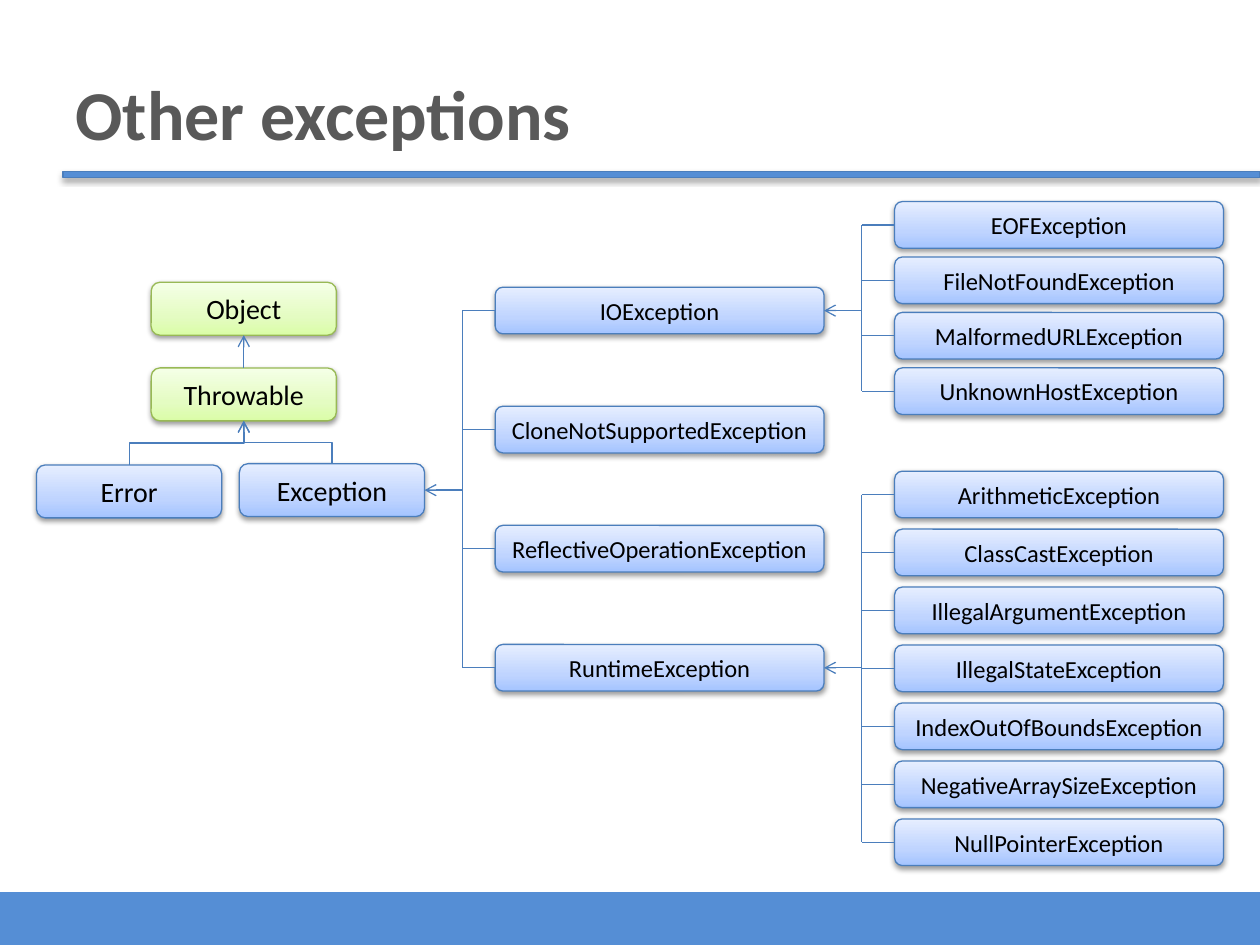
import copy
from dataclasses import dataclass

import pptx
import pptx.dml.color
import pptx.enum.shapes
import pptx.enum.text
import pptx.oxml
import pptx.oxml.ns
import pptx.util
from pptx.util import Inches

FONT = "Calibri"
BLUE, LINE_BLUE, LINE_GREEN = "558ED5", "4B7EBC", "98B955"
BLUE_STOPS = ("A4C4FF", "BFD4FF", "E6EEFF")
GREEN_STOPS = ("DAFDA7", "E4FCC2", "F5FFE7")
STOP_POSITIONS = (0, 0.35, 1)
TOP, LEFT, BOTTOM, RIGHT = range(4)
SHAPES = pptx.enum.shapes.MSO_SHAPE
CONNECTORS = pptx.enum.shapes.MSO_CONNECTOR
qn = pptx.oxml.ns.qn


@dataclass
class ClassBox:
    name: str
    left: float
    top: float
    width: float = 1.47
    height: float = 0.42
    size: int = 16
    stops: tuple = BLUE_STOPS
    line: str = LINE_BLUE


@dataclass
class Column:
    """Subclasses stacked at an equal step, joined to one parent by a trunk."""
    parent: str
    left: float
    top: float
    step: float
    trunk: float
    names: tuple


ROOT_BOXES = (
    ClassBox("Object", 1.2, 2.24, stops=GREEN_STOPS, line=LINE_GREEN),
    ClassBox("Throwable", 1.2, 2.92, stops=GREEN_STOPS, line=LINE_GREEN),
    ClassBox("Error", 0.29, 3.69),
    ClassBox("Exception", 1.9, 3.68),
)
COLUMNS = (
    Column("Exception", 3.93, 2.28, 0.945, 3.67, (
        "IOException", "CloneNotSupportedException",
        "ReflectiveOperationException", "RuntimeException")),
    Column("IOException", 7.1, 1.6, 0.44, 6.84, (
        "EOFException", "FileNotFoundException",
        "MalformedURLException", "UnknownHostException")),
    Column("RuntimeException", 7.1, 3.74, 0.46, 6.84, (
        "ArithmeticException", "ClassCastException", "IllegalArgumentException",
        "IllegalStateException", "IndexOutOfBoundsException",
        "NegativeArraySizeException", "NullPointerException")),
)


def rgb(color: str):
    return pptx.dml.color.RGBColor.from_string(color)


def set_line(shape, color: str) -> None:
    shape.line.color.rgb = rgb(color)
    shape.line.width = pptx.util.Pt(0.75)


def add_shadow(shape, opacity: int, distance: float) -> None:
    shape.shadow.inherit = False
    effects = shape._element.spPr.find(qn("a:effectLst"))
    effects.append(pptx.oxml.parse_xml(
        f'<a:outerShdw {pptx.oxml.ns.nsdecls("a")} blurRad="{pptx.util.Pt(3.1)}" '
        f'dist="{pptx.util.Pt(distance)}" dir="5400000" rotWithShape="0">'
        f'<a:srgbClr val="000000"><a:alpha val="{opacity * 1000}"/></a:srgbClr>'
        "</a:outerShdw>"))


def fill_gradient(shape, colors: tuple) -> None:
    shape.fill.gradient()
    shape.fill.gradient_angle = 90
    stop_list = shape._element.spPr.find(qn("a:gradFill")).find(qn("a:gsLst"))
    stop_list.append(copy.deepcopy(stop_list[0]))
    for stop, color, position in zip(shape.fill.gradient_stops, colors, STOP_POSITIONS):
        stop.color.rgb = rgb(color)
        stop.position = position


def format_text(paragraph, size: int, color: str, bold: bool = False) -> None:
    for span in paragraph.runs:
        span.font.name = FONT
        span.font.size = pptx.util.Pt(size)
        span.font.bold = bold
        span.font.color.rgb = rgb(color)


def add_bar(page, left: float, top: float, width: float, height: float):
    bar = page.shapes.add_shape(SHAPES.RECTANGLE, Inches(left), Inches(top),
                                Inches(width), Inches(height))
    bar.shadow.inherit = False
    bar.fill.solid()
    bar.fill.fore_color.rgb = rgb(BLUE)
    bar.line.fill.background()
    return bar


def add_class_box(page, item: ClassBox):
    box = page.shapes.add_shape(SHAPES.ROUNDED_RECTANGLE, Inches(item.left),
                                Inches(item.top), Inches(item.width), Inches(item.height))
    fill_gradient(box, item.stops)
    set_line(box, item.line)
    add_shadow(box, 38, 1.6)
    frame = box.text_frame
    frame.margin_left = frame.margin_right = 0
    frame.vertical_anchor = pptx.enum.text.MSO_ANCHOR.MIDDLE
    frame.text = item.name
    para = frame.paragraphs[0]
    para.alignment = pptx.enum.text.PP_ALIGN.CENTER
    format_text(para, item.size, "000000")
    return box


def add_line(page, start: tuple, end: tuple, kind=CONNECTORS.STRAIGHT, arrow: bool = False):
    """Draw a connector between two points given in EMU."""
    line = page.shapes.add_connector(kind, *start, *end)
    set_line(line, LINE_BLUE)
    properties = line._element.spPr
    if arrow:
        head = properties.find(qn("a:ln")).makeelement(qn("a:tailEnd"), {"type": "arrow"})
        properties.find(qn("a:ln")).append(head)
    properties.append(properties.makeelement(qn("a:effectLst"), {}))
    return line


def side_middle(box, side: int) -> tuple:
    x = {LEFT: box.left, RIGHT: box.left + box.width}.get(side, box.left + box.width // 2)
    y = {TOP: box.top, BOTTOM: box.top + box.height}.get(side, box.top + box.height // 2)
    return x, y


def add_upward_elbow(page, child, parent) -> None:
    """Leave the child's top vertically and enter the parent's bottom vertically."""
    start, end = side_middle(child, TOP), side_middle(parent, BOTTOM)
    elbow = add_line(page, start, end, CONNECTORS.ELBOW, arrow=True)
    elbow.begin_connect(child, TOP)
    elbow.end_connect(parent, BOTTOM)
    # A quarter turn swaps the sides of the frame around its centre.
    width, height = abs(start[1] - end[1]), abs(start[0] - end[0])
    elbow.left = (start[0] + end[0] - width) // 2
    elbow.top = (start[1] + end[1] - height) // 2
    elbow.width, elbow.height = width, height
    frame = elbow._element.spPr.find(qn("a:xfrm"))
    frame.set("rot", "5400000")
    frame.set("flipH", "1")
    frame.set("flipV", "1" if start[0] < end[0] else "0")


def add_column(page, column: Column, boxes: dict) -> None:
    trunk = Inches(column.trunk)
    joints = []
    for row, name in enumerate(column.names):
        box = add_class_box(page, ClassBox(name, column.left, column.top + row * column.step,
                                           width=2.61, height=0.37, size=14))
        boxes[name] = box
        start = side_middle(box, LEFT)
        joints.append((trunk, start[1]))
        add_line(page, start, joints[-1]).begin_connect(box, LEFT)
    add_line(page, joints[0], joints[-1])
    parent = boxes[column.parent]
    end = side_middle(parent, RIGHT)
    add_line(page, (trunk, end[1]), end, arrow=True).end_connect(parent, RIGHT)


def add_title(page, text: str) -> None:
    title = page.shapes.title
    title.left, title.top, title.width, title.height = map(Inches, (0.5, 0.51, 9, 0.98))
    frame = title.text_frame
    frame.text = text
    frame.vertical_anchor = pptx.enum.text.MSO_ANCHOR.TOP
    frame.auto_size = pptx.enum.text.MSO_AUTO_SIZE.NONE
    frame.paragraphs[0].alignment = pptx.enum.text.PP_ALIGN.LEFT
    format_text(frame.paragraphs[0], 40, "595959", bold=True)


def main() -> None:
    deck = pptx.Presentation()
    deck.slide_width, deck.slide_height = Inches(10), Inches(7.5)
    page = deck.slides.add_slide(deck.slide_layouts[5])
    add_bar(page, 0, 7.08, 10, 0.42)
    rule = add_bar(page, 0.5, 1.36, 9.5, 0.05)
    set_line(rule, LINE_BLUE)
    add_shadow(rule, 35, 1.8)
    add_title(page, "Other exceptions")

    boxes = {item.name: add_class_box(page, item) for item in ROOT_BOXES}
    top, base = boxes["Object"], boxes["Throwable"]
    link = add_line(page, side_middle(base, TOP), side_middle(top, BOTTOM), arrow=True)
    link.begin_connect(base, TOP)
    link.end_connect(top, BOTTOM)
    for name in ("Error", "Exception"):
        add_upward_elbow(page, boxes[name], base)
    for column in COLUMNS:
        add_column(page, column, boxes)
    deck.save("out.pptx")


if __name__ == "__main__":
    main()
